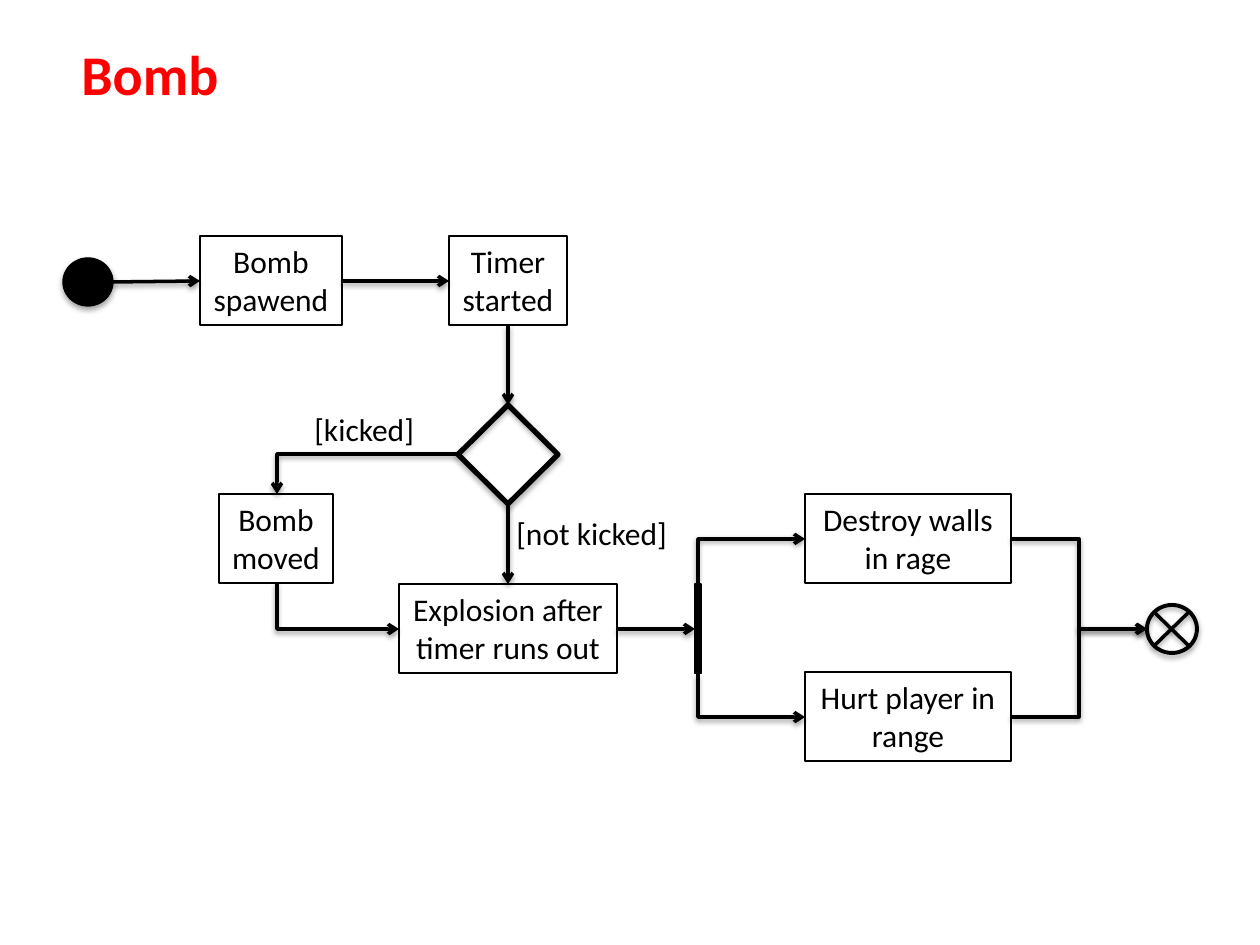
from lxml.etree import SubElement
from pptx import Presentation
from pptx.dml.color import RGBColor
from pptx.enum.shapes import MSO_CONNECTOR as Link, MSO_SHAPE as Form
from pptx.enum.text import MSO_ANCHOR as Anchor, MSO_AUTO_SIZE as Fit, PP_ALIGN as Align
from pptx.oxml.ns import qn
from pptx.util import Emu, Inches, Pt

SCALE = 914400 // 126
COLORS = {"ink": "000000", "title": "FF0000"}


def px(*values):
    return [Emu(int(v * SCALE)) for v in values]


def tint(name):
    return RGBColor.from_string(COLORS[name])


class Chart:
    def __init__(self, slide, face="Calibri"):
        self.slide, self.face = slide, face

    def letter(self, frame, text, size=18, color="ink", bold=False, align=Align.CENTER):
        frame.text = text
        for par in frame.paragraphs:
            par.alignment = align
            font = par.font
            font.name, font.size, font.bold = self.face, Pt(size), bold
            font.color.rgb = tint(color)

    def shade(self, props, dist, alpha):
        effect = props.find(qn("a:effectLst"))
        if effect is None:
            effect = SubElement(props, qn("a:effectLst"))
        shadow = SubElement(effect, qn("a:outerShdw"), blurRad="40000",
                            dist=str(dist), dir="5400000", rotWithShape="0")
        color = SubElement(shadow, qn("a:srgbClr"), val=COLORS["ink"])
        SubElement(color, qn("a:alpha"), val=str(alpha * 1000))

    def title(self, box, text):
        shape = self.slide.shapes.title
        shape.left, shape.top, shape.width, shape.height = px(*box)
        frame = shape.text_frame
        self.letter(frame, text, 32, "title", True)
        frame.word_wrap, frame.auto_size = False, Fit.NONE
        frame.vertical_anchor = Anchor.TOP

    def label(self, box, text):
        frame = self.slide.shapes.add_textbox(*px(*box)).text_frame
        self.letter(frame, text, align=Align.LEFT)
        frame.word_wrap = False

    def node(self, form, box, width=0.75, solid=False, shadow=False):
        shape = self.slide.shapes.add_shape(form, *px(*box))
        shape.shadow.inherit = False
        if solid:
            shape.fill.solid()
            shape.fill.fore_color.rgb = tint("ink")
        else:
            shape.fill.background()
        shape.line.color.rgb = tint("ink")
        shape.line.width = Pt(width)
        if shadow:
            self.shade(shape._element.spPr, 23000, 35)
        return shape

    def step(self, box, text, wrap=False):
        frame = self.node(Form.RECTANGLE, box).text_frame
        self.letter(frame, text)
        frame.word_wrap = wrap
        frame.vertical_anchor = Anchor.TOP

    def line(self, start, end, kind=Link.STRAIGHT, arrow=True):
        link = self.slide.shapes.add_connector(kind, *px(*start, *end))
        link.line.color.rgb = tint("ink")
        link.line.width = Pt(2)
        props = link._element.spPr
        if arrow:
            SubElement(props.find(qn("a:ln")), qn("a:tailEnd"), type="arrow")
        self.shade(props, 20000, 38)
        return link

    def bend(self, start, end, down=False):
        if down:
            (x1, y1), (x2, y2) = start, end
            mx, my = (x1 + x2) / 2, (y1 + y2) / 2
            dx, dy = (x2 - x1) / 2, (y2 - y1) / 2
            start, end = (mx - dy, my + dx), (mx + dy, my - dx)
        props = self.line(start, end, Link.ELBOW)._element.spPr
        props.find(qn("a:prstGeom")).set("prst", "bentConnector2")
        if down:
            props.find(qn("a:xfrm")).set("rot", "5400000")


deck = Presentation()
deck.slide_width, deck.slide_height = Inches(10), Inches(7.5)
chart = Chart(deck.slides.add_slide(deck.slide_layouts[5]))

chart.title((68, 33, 164, 81), "Bomb")

chart.node(Form.OVAL, (63, 258, 50, 48), solid=True, shadow=True)
chart.node(Form.DIAMOND, (458, 405, 100, 99), 3, shadow=True)
chart.node(Form.OVAL, (1147, 605, 50, 48), 2.25, shadow=True)
chart.node(Form.RECTANGLE, (695, 584, 6, 90), solid=True)

for left, top, width, text in (
    (200, 236, 142, "Bomb\nspawend"),
    (449, 236, 118, "Timer\nstarted"),
    (219, 494, 114, "Bomb\nmoved"),
    (399, 584, 218, "Explosion after\ntimer runs out"),
):
    chart.step((left, top, width, 89), text)

for top, text in ((494, "Destroy walls in rage"), (672, "Hurt player in range")):
    mid = top + 45
    chart.step((805, top, 206, 89), text, wrap=True)
    chart.bend((698, 584 if mid < 629 else 674), (805, mid), down=True)
    chart.line((1011, mid), (1147, 629), Link.ELBOW)

for start, end in (
    ((113, 282), (200, 281)),
    ((342, 281), (449, 281)),
    ((508, 325), (508, 405)),
    ((508, 504), (508, 584)),
    ((617, 629), (695, 629)),
):
    chart.line(start, end)

chart.bend((458, 454), (277, 494))
chart.bend((277, 583), (399, 629), down=True)
for left, right in ((1154, 1189), (1189, 1154)):
    chart.line((left, 612), (right, 646), arrow=False)

chart.label((302, 404, 127, 50), "[kicked]")
chart.label((504, 508, 179, 50), "[not kicked]")

deck.save("out.pptx")
